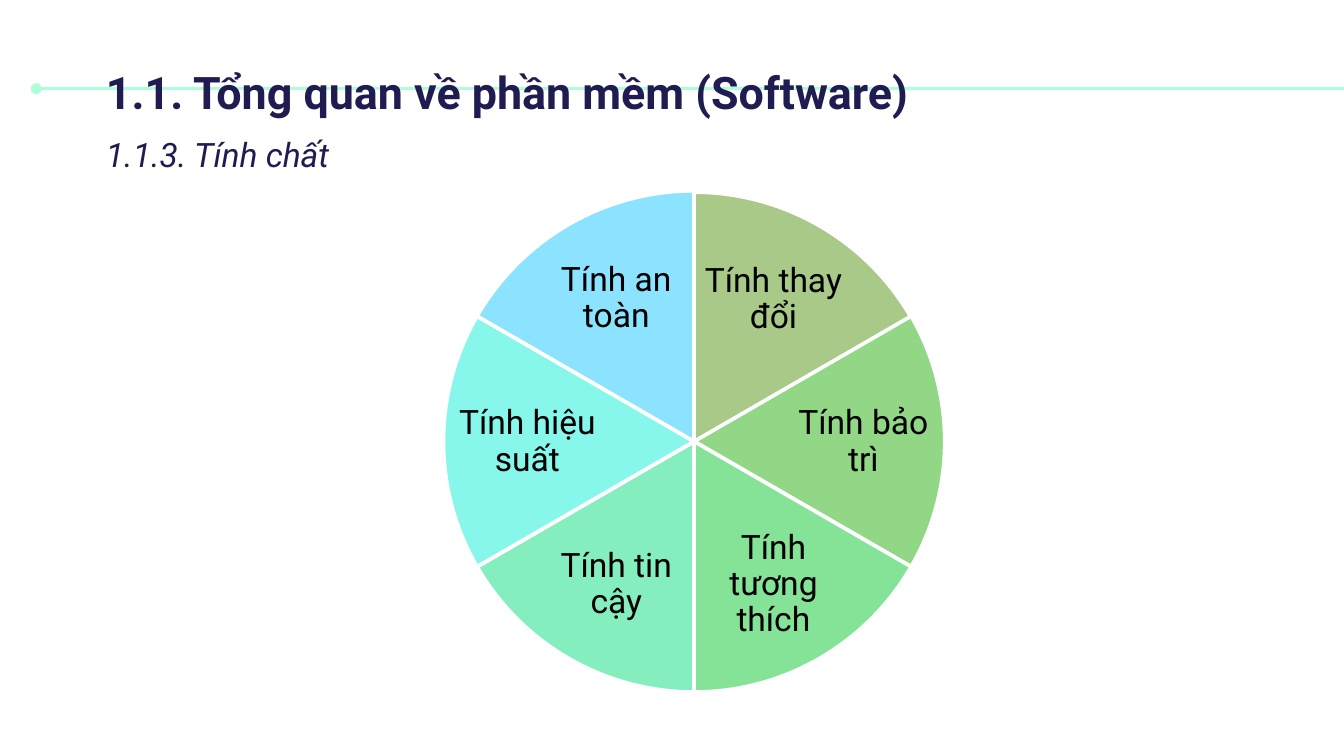
from lxml import etree
from pptx import Presentation
from pptx.dml.color import RGBColor
from pptx.enum.shapes import MSO_CONNECTOR, MSO_SHAPE
from pptx.enum.text import MSO_ANCHOR, PP_ALIGN
from pptx.oxml.ns import qn
from pptx.util import Inches, Pt

STRAIGHT = MSO_CONNECTOR.STRAIGHT
PIE = MSO_SHAPE.PIE
TOP, MIDDLE = MSO_ANCHOR.TOP, MSO_ANCHOR.MIDDLE
LEFT, CENTER = PP_ALIGN.LEFT, PP_ALIGN.CENTER

COLORS = {"navy": "1F1C51", "mint": "ACFFD9", "white": "FFFFFF", "black": "000000"}

SLIDE_WIDTH = 10
SLIDE_HEIGHT = SLIDE_WIDTH * 9 / 16

PIE_LEFT, PIE_TOP, PIE_SIZE = 3.3, 1.42, 3.73
# Angles in the units of the pie adjustments: 0.6 per degree, clockwise from 3 o'clock
FULL_TURN, TWELVE_OCLOCK = 216, 162

# Clockwise from the top: label, fill, label box (left, top, width, height)
SECTORS = [
    ("Tính thay đổi", "A8C987", (5.21, 1.83, 1.09, 0.8)),
    ("Tính bảo trì", "91D785", (5.86, 2.91, 1.13, 0.76)),
    ("Tính tương thích", "84E397", (5.21, 3.95, 1.09, 0.8)),
    ("Tính tin cậy", "85EEBE", (4.04, 3.95, 1.09, 0.8)),
    ("Tính hiệu suất", "87F7EB", (3.36, 2.91, 1.13, 0.76)),
    ("Tính an toàn", "8BE3FF", (4.04, 1.82, 1.09, 0.8)),
]


class SlideBuilder:
    font_name = "Roboto"

    def __init__(self, slide):
        self.slide = slide

    def background(self, color):
        fill = self.slide.background.fill
        fill.solid()
        fill.fore_color.rgb = RGBColor.from_string(color)

    def dotted_start_line(self, x1, x2, y, color, width):
        """Draw a horizontal line with a round dot at its left end."""
        line = self.slide.shapes.add_connector(
            STRAIGHT, Inches(x1), Inches(y), Inches(x2), Inches(y))
        line.line.color.rgb = RGBColor.from_string(color)
        line.line.width = Pt(width)
        properties = line._element.spPr
        etree.SubElement(properties.find(qn("a:ln")), qn("a:headEnd"), type="oval")
        etree.SubElement(properties, qn("a:effectLst"))

    def text(self, box, words, size, color, bold=False, italic=False,
             inset=0.1, anchor=TOP, align=LEFT, line_spacing=1.0):
        shape = self.slide.shapes.add_textbox(*(Inches(length) for length in box))
        frame = shape.text_frame
        frame.word_wrap = True
        frame.vertical_anchor = anchor
        frame.margin_left = frame.margin_right = Inches(inset)
        frame.margin_top = frame.margin_bottom = Inches(inset)
        frame.text = words
        paragraph = frame.paragraphs[0]
        paragraph.alignment = align
        paragraph.line_spacing = line_spacing
        font = paragraph.runs[0].font
        font.name = self.font_name
        font.size = Pt(size)
        font.bold = bold
        font.italic = italic
        font.color.rgb = RGBColor.from_string(color)

    def sector(self, left, top, size, start, end, color):
        shape = self.slide.shapes.add_shape(
            PIE, Inches(left), Inches(top), Inches(size), Inches(size))
        shape.adjustments[0] = start
        shape.adjustments[1] = end
        shape.shadow.inherit = False
        shape.fill.solid()
        shape.fill.fore_color.rgb = RGBColor.from_string(color)
        shape.line.color.rgb = RGBColor.from_string(COLORS["white"])
        shape.line.width = Pt(2)


def main():
    presentation = Presentation()
    presentation.slide_width = Inches(SLIDE_WIDTH)
    presentation.slide_height = Inches(SLIDE_HEIGHT)
    builder = SlideBuilder(presentation.slides.add_slide(presentation.slide_layouts[6]))

    builder.background(COLORS["white"])
    builder.dotted_start_line(0.27, 10.1, 0.66, COLORS["mint"], 1.5)
    builder.text((0.69, 0.38, 7.56, 0.59), "1.1. Tổng quan về phần mềm (Software)",
                 24, COLORS["navy"], bold=True)
    builder.text((0.69, 0.85, 2.23, 0.46), "1.1.3. Tính chất",
                 18, COLORS["navy"], italic=True, line_spacing=1.15)

    step = FULL_TURN // len(SECTORS)
    for index, (label, color, label_box) in enumerate(SECTORS):
        start = (TWELVE_OCLOCK + index * step) % FULL_TURN
        end = (start + step) % FULL_TURN
        top = PIE_TOP + (0.01 if index == 0 else 0)
        builder.sector(PIE_LEFT, top, PIE_SIZE, start, end, color)
        builder.text(label_box, label, 18, COLORS["black"], inset=0.03,
                     anchor=MIDDLE, align=CENTER, line_spacing=0.9)

    presentation.save("out.pptx")


if __name__ == "__main__":
    main()
